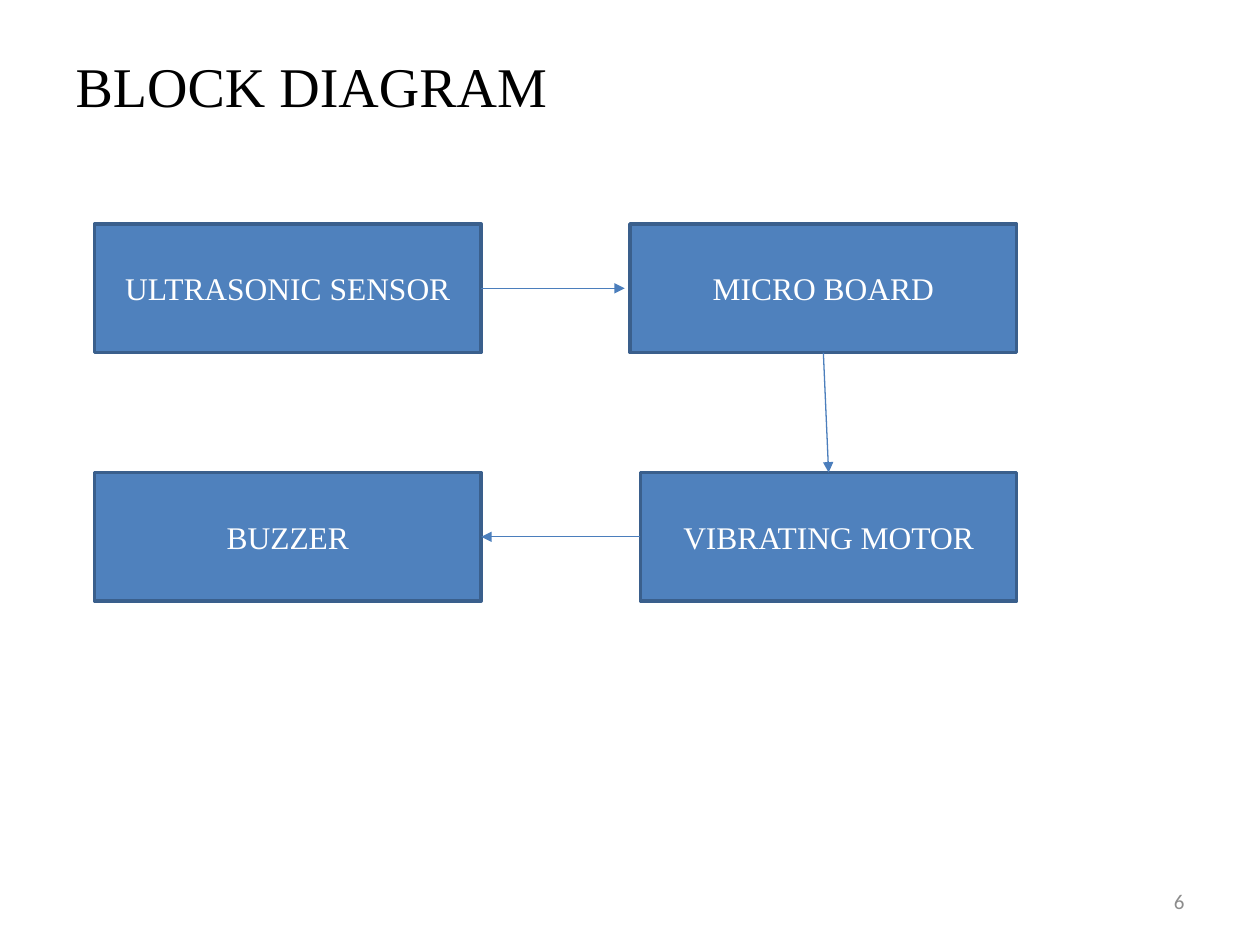
from pptx import Presentation
from pptx.dml.color import RGBColor as RGB
from pptx.enum.shapes import MSO_CONNECTOR as Conn, MSO_SHAPE as Shape
from pptx.enum.text import MSO_ANCHOR as Anchor, PP_ALIGN as Align
from pptx.oxml.ns import qn
from pptx.util import Pt
from lxml.etree import SubElement as Sub

HEAD = "BLOCK DIAGRAM"
PAGE = "6"
SERIF, SANS = "Times New Roman", "Calibri"
HEX = {"fill": "4F81BD", "edge": "3A5F8C", "arrow": "4B7EBC",
       "head": "000000", "label": "FFFFFF", "page": "8C8C8C"}

# label: (left, right, row)
BLOCKS = {
    "ULTRASONIC SENSOR": (54, 275, 0),
    "MICRO BOARD": (360, 581, 0),
    "VIBRATING MOTOR": (366, 581, 1),
    "BUZZER": (54, 275, 1),
}
# from, side, to, side; the first arrow stops short of its block
LINKS = [
    ("ULTRASONIC SENSOR", 3, None, None),
    ("MICRO BOARD", 2, "VIBRATING MOTOR", 0),
    ("VIBRATING MOTOR", 1, "BUZZER", 3),
]
TOP, STEP, HIGH = 128, 142, 73.5
STOP = (357, TOP + HIGH / 2)


def color(name):
    return RGB.from_string(HEX[name])


def style(frame, size, font, tint, align):
    para = frame.paragraphs[0]
    para.alignment = align
    run = para.runs[0].font
    run.size, run.name = Pt(size), font
    run.color.rgb = color(tint)


def add_block(slide, label, left, right, row):
    box = slide.shapes.add_shape(Shape.RECTANGLE, Pt(left), Pt(TOP + row * STEP),
                                 Pt(right - left), Pt(HIGH))
    box.shadow.inherit = False
    box.fill.solid()
    box.fill.fore_color.rgb = color("fill")
    box.line.color.rgb = color("edge")
    box.line.width = Pt(2)
    frame = box.text_frame
    frame.text = label
    frame.vertical_anchor = Anchor.MIDDLE
    style(frame, 18, SERIF, "label", Align.CENTER)
    return box


def add_arrow(slide, start, side, end, goal):
    """Join two blocks, or run to STOP when there is no end block."""
    x, y = STOP
    line = slide.shapes.add_connector(Conn.STRAIGHT, 0, 0, Pt(x), Pt(y))
    line.begin_connect(start, side)
    if end is not None:
        line.end_connect(end, goal)
    line.line.color.rgb = color("arrow")
    line.line.width = Pt(0.75)
    Sub(line.line._get_or_add_ln(), qn("a:tailEnd"), type="triangle")
    Sub(line._element.spPr, qn("a:effectLst"))


def main():
    deck = Presentation()
    deck.slide_width, deck.slide_height = Pt(720), Pt(540)
    slide = deck.slides.add_slide(deck.slide_layouts[1])
    title, body = slide.placeholders
    title.element.getparent().remove(title.element)

    body.left, body.top, body.width, body.height = Pt(36), Pt(26), Pt(648), Pt(456)
    body.text_frame.text = HEAD
    style(body.text_frame, 32, SERIF, "head", Align.LEFT)
    props = body.text_frame.paragraphs[0]._p.get_or_add_pPr()
    props.set("marL", "0")
    props.set("indent", "0")
    Sub(props, qn("a:buNone"))

    page = slide.shapes.add_textbox(Pt(516), Pt(500.5), Pt(168), Pt(29)).text_frame
    page.word_wrap = True
    page.vertical_anchor = Anchor.MIDDLE
    page.text = PAGE
    style(page, 12, SANS, "page", Align.RIGHT)

    boxes = {label: add_block(slide, label, *spot) for label, spot in BLOCKS.items()}
    for start, side, end, goal in LINKS:
        add_arrow(slide, boxes[start], side, boxes.get(end), goal)
    deck.save("out.pptx")


if __name__ == "__main__":
    main()
